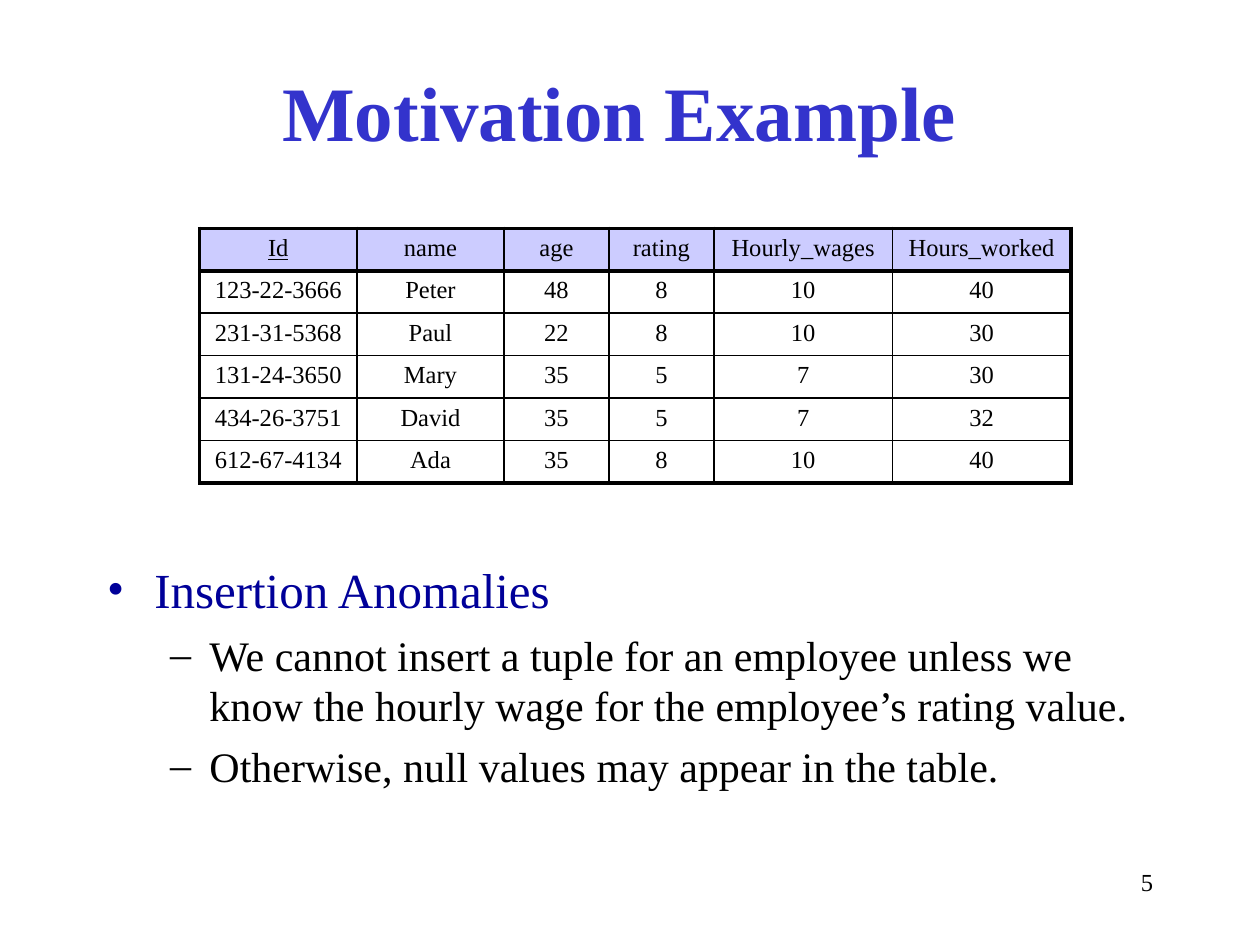
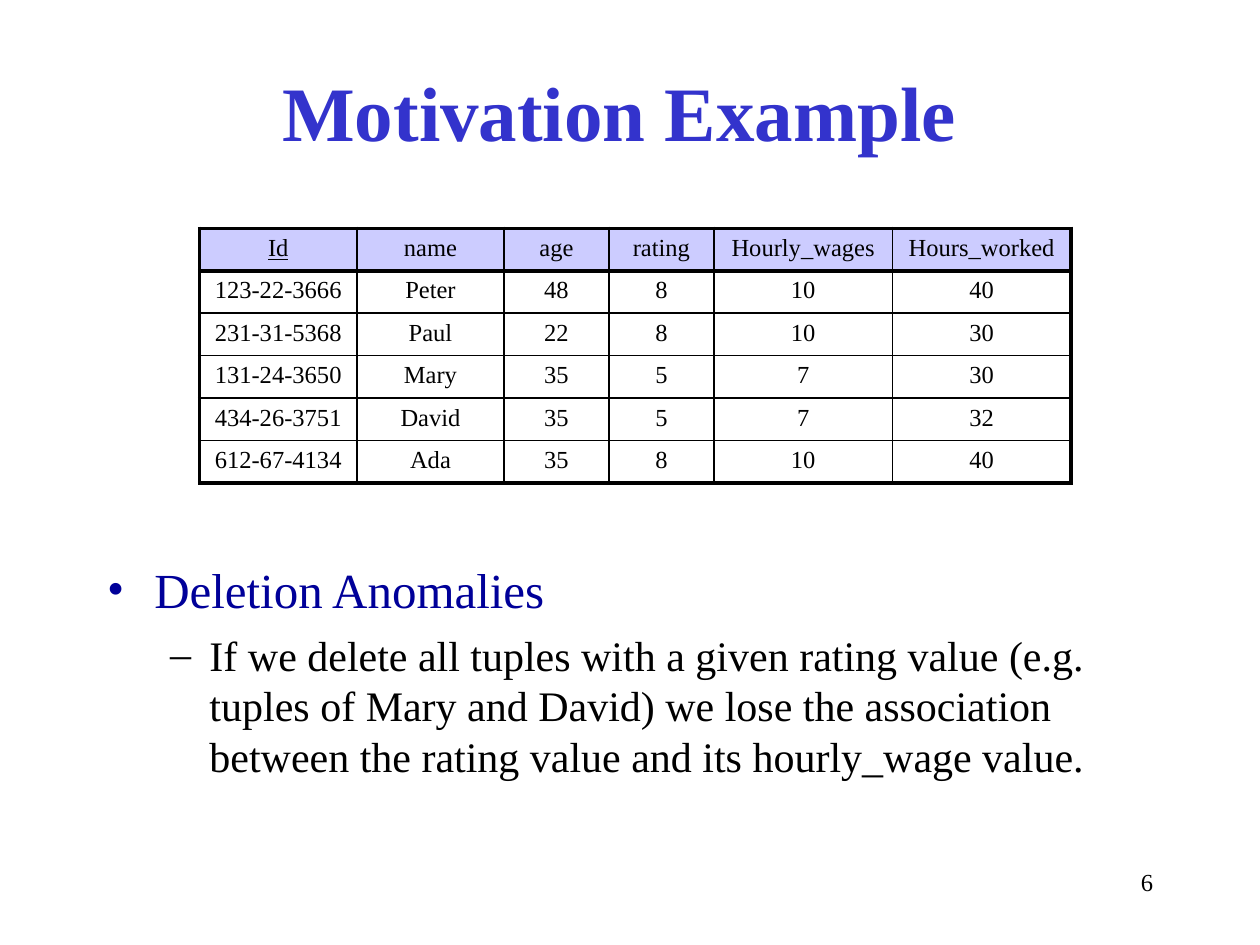
from pptx import Presentation
from pptx import util as u
from pptx.dml.color import RGBColor
from pptx.enum import text
from pptx.oxml import parse_xml
from pptx.oxml.ns import nsdecls

FONT = "Times New Roman"
BLUE = RGBColor(0x33, 0x33, 0xCC)
NAVY = RGBColor(0x00, 0x00, 0x99)
LILAC = RGBColor(0xCC, 0xCC, 0xFF)
BLACK = RGBColor(0x00, 0x00, 0x00)
WHITE = RGBColor(0xFF, 0xFF, 0xFF)

GRID_COLS, GRID_ROWS = 120, 90
THIN, THICK = u.Pt(1), u.Pt(2.25)
LEVELS = [("•", 28, NAVY), ("–", 24, BLACK)]

EMPLOYEE_COLS = [15, 14, 10, 10, 17, 17]
EMPLOYEES = [
    ["Id", "name", "age", "rating", "Hourly_wages", "Hours_worked"],
    ["123-22-3666", "Peter", "48", "8", "10", "40"],
    ["231-31-5368", "Paul", "22", "8", "10", "30"],
    ["131-24-3650", "Mary", "35", "5", "7", "30"],
    ["434-26-3751", "David", "35", "5", "7", "32"],
    ["612-67-4134", "Ada", "35", "8", "10", "40"],
]

ANOMALIES = [
    (5, [(0, "Insertion Anomalies"),
         (1, "We cannot insert a tuple for an employee unless we know the "
             "hourly wage for the employee’s rating value."),
         (1, "Otherwise, null values may appear in the table.")]),
    (6, [(0, "Deletion Anomalies"),
         (1, "If we delete all tuples with a given rating value (e.g. tuples "
             "of Mary and David) we lose the association between the rating "
             "value and its hourly_wage value.")]),
]


class Deck:
    """Holds the presentation, its style and the current slide."""

    def __init__(self):
        self.prs = Presentation()
        self.prs.slide_width, self.prs.slide_height = u.Inches(10), u.Inches(7.5)
        self.s = None

    def x(self, cols):
        return int(self.prs.slide_width * cols / GRID_COLS)

    def y(self, rows):
        return int(self.prs.slide_height * rows / GRID_ROWS)

    def box(self, left, top, width, height):
        return self.x(left), self.y(top), self.x(width), self.y(height)

    def place(self, sp, *box):
        sp.left, sp.top, sp.width, sp.height = self.box(*box)
        sp.text_frame.auto_size = text.MSO_AUTO_SIZE.NONE
        return sp.text_frame

    def run(self, p, words, size, color=BLACK, align=None, **font):
        r = p.add_run()
        r.text = words
        r.font.name, r.font.size = FONT, u.Pt(size)
        r.font.color.rgb = color
        for name, value in font.items():
            setattr(r.font, name, value)
        if align is not None:
            p.alignment = align

    def new_slide(self):
        self.s = self.prs.slides.add_slide(self.prs.slide_layouts[1])

    def title(self, words):
        tf = self.place(self.s.shapes.title, 8, 3, 102, 15)
        tf.vertical_anchor = text.MSO_ANCHOR.MIDDLE
        self.run(tf.paragraphs[0], words, 44, BLUE, text.PP_ALIGN.CENTER, bold=True)

    def number(self, value):
        sp = self.s.shapes.add_textbox(*self.box(86, 82, 25, 6))
        sp.text_frame.word_wrap = True
        self.run(sp.text_frame.paragraphs[0], str(value), 14,
                 align=text.PP_ALIGN.RIGHT)

    def bullets(self, items):
        tf = self.place(self.s.placeholders[1], 9, 52, 102, 28)
        tf.margin_top = u.Inches(0.11)
        for i, (level, words) in enumerate(items):
            p = tf.add_paragraph() if i else tf.paragraphs[0]
            mark, size, color = LEVELS[level]
            p.level = level
            p.space_before = u.Pt(6 if i else 0)
            pPr = p._p.get_or_add_pPr()
            pPr.append(parse_xml(f'<a:buFont {nsdecls("a")} typeface="{FONT}"/>'))
            pPr.append(parse_xml(f'<a:buChar {nsdecls("a")} char="{mark}"/>'))
            self.run(p, words, size, color)

    def borders(self, cell, **widths):
        """Set border widths, given in the order L, R, T, B."""
        tcPr = cell._tc.get_or_add_tcPr()
        for i, (side, width) in enumerate(widths.items()):
            tcPr.insert(i, parse_xml(
                f'<a:ln{side} {nsdecls("a")} w="{int(width)}"><a:solidFill>'
                f'<a:srgbClr val="{BLACK}"/></a:solidFill></a:ln{side}>'))

    def table(self, rows, cols, left, top, row_height):
        n_rows, n_cols = len(rows), len(cols)
        frame = self.s.shapes.add_table(
            n_rows, n_cols,
            *self.box(left, top, sum(cols), row_height * n_rows))
        tbl = frame.table
        tbl.first_row = tbl.horz_banding = False
        for column, width in zip(tbl.columns, cols):
            column.width = self.x(width)
        for i, row in enumerate(rows):
            for j, words in enumerate(row):
                cell = tbl.cell(i, j)
                cell.fill.solid()
                cell.fill.fore_color.rgb = WHITE if i else LILAC
                self.run(cell.text_frame.paragraphs[0], words, 14,
                         align=text.PP_ALIGN.CENTER, underline=i == j == 0)
                self.borders(cell,
                             L=THIN if j else THICK,
                             R=THICK if j == n_cols - 1 else THIN,
                             T=THICK if i < 2 else THIN,
                             B=THICK if i in (0, n_rows - 1) else THIN)


def main():
    deck = Deck()
    for number, items in ANOMALIES:
        deck.new_slide()
        deck.title("Motivation Example")
        deck.number(number)
        deck.table(EMPLOYEES, EMPLOYEE_COLS, left=19, top=21.75, row_height=4.04)
        deck.bullets(items)
    deck.prs.save("out.pptx")


if __name__ == "__main__":
    main()
